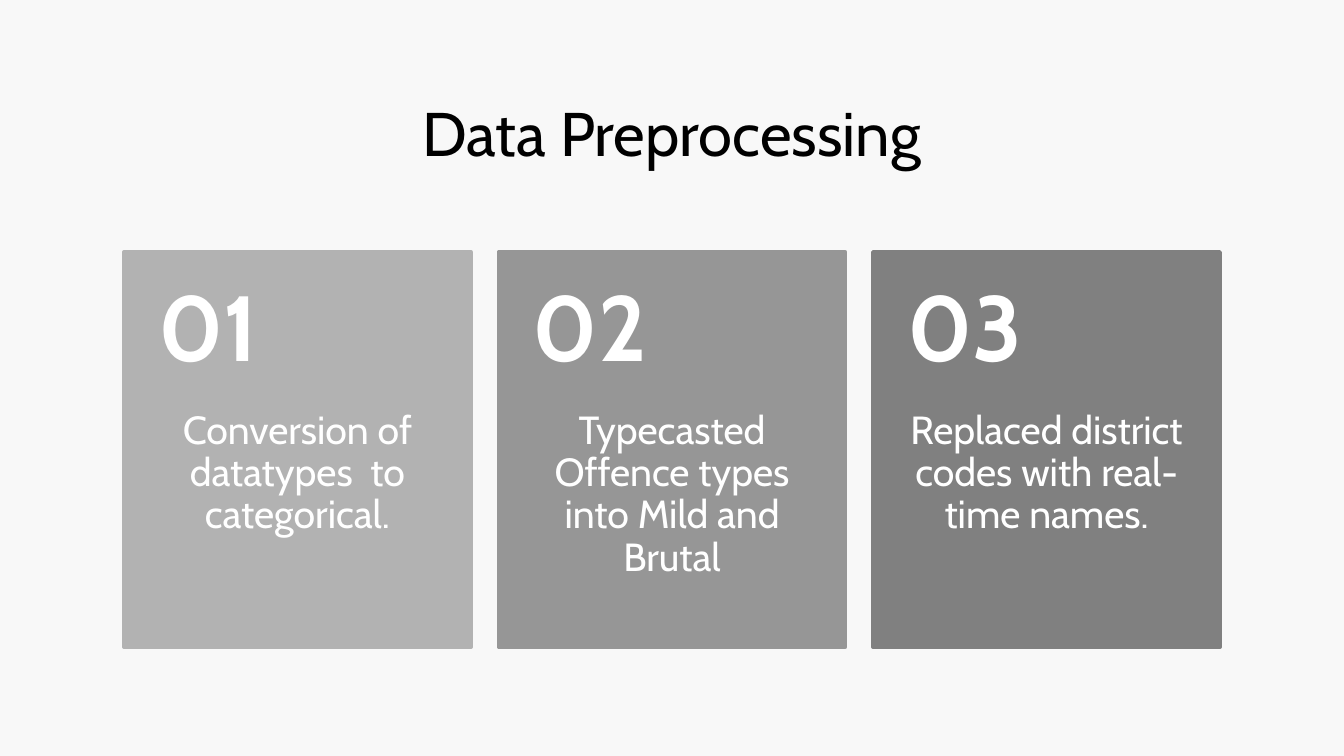
from pptx import Presentation
from pptx.dml.color import RGBColor
from pptx.enum.shapes import MSO_SHAPE
from pptx.enum.text import MSO_ANCHOR, PP_ALIGN
from pptx.util import Inches, Pt

RECTANGLE = MSO_SHAPE.RECTANGLE
TOP, MIDDLE = MSO_ANCHOR.TOP, MSO_ANCHOR.MIDDLE
LEFT, CENTER = PP_ALIGN.LEFT, PP_ALIGN.CENTER

TITLE = "Data Preprocessing"
STEPS = [
    ("01", "Conversion of datatypes  to categorical.", "light"),
    ("02", "Typecasted Offence types into Mild and Brutal", "medium"),
    ("03", "Replaced district codes with real-time names.", "dark"),
]
COLORS = {
    "background": "F8F8F8",
    "title": "000000",
    "text": "FFFFFF",
    "light": "B2B2B2",
    "medium": "969696",
    "dark": "808080",
}
FONT = "Cabin"

SLIDE_WIDTH, SLIDE_HEIGHT = 13.33, 7.5
TITLE_BOX = (0.7, 0.98, 11.93, 1.62)
CARD_TOP, CARD_WIDTH, CARD_HEIGHT = 2.5, 3.44, 3.92
CARD_LEFT, CARD_STEP = 1.23, 3.715
NUMBER_HEIGHT = 1.57

TITLE_FORMAT = {
    "frame": {"vertical_anchor": TOP},
    "paragraph": {"alignment": CENTER, "line_spacing": 0.89},
    "font": {"size": Pt(44), "bold": False},
    "color": "title",
}
NUMBER_FORMAT = {
    "frame": {
        "vertical_anchor": MIDDLE,
        "margin_left": Inches(0.34),
        "margin_right": Inches(0.34),
        "margin_top": Inches(0.18),
        "margin_bottom": Inches(0.18),
    },
    "paragraph": {"alignment": LEFT, "line_spacing": 0.9},
    "font": {"size": Pt(66), "bold": True},
    "color": "text",
}
BODY_FORMAT = {
    "frame": {
        "vertical_anchor": TOP,
        "margin_left": Inches(0.34),
        "margin_right": Inches(0.34),
        "margin_top": Inches(0),
        "margin_bottom": Inches(0.36),
    },
    "paragraph": {"alignment": CENTER, "line_spacing": 0.9},
    "font": {"size": Pt(28), "bold": False},
    "color": "text",
}


def color(name):
    return RGBColor.from_string(COLORS[name])


def set_attributes(target, values):
    for name, value in values.items():
        setattr(target, name, value)


def add_text(slide, box, text, style):
    shape = slide.shapes.add_textbox(*map(Inches, box))
    frame = shape.text_frame
    frame.word_wrap = True
    set_attributes(frame, style["frame"])
    paragraph = frame.paragraphs[0]
    set_attributes(paragraph, style["paragraph"])
    run = paragraph.add_run()
    run.text = text
    run.font.name = FONT
    set_attributes(run.font, style["font"])
    run.font.color.rgb = color(style["color"])


def add_card(slide, left, number, body, shade):
    box = (left, CARD_TOP, CARD_WIDTH, CARD_HEIGHT)
    card = slide.shapes.add_shape(RECTANGLE, *map(Inches, box))
    card.shadow.inherit = False
    card.fill.solid()
    card.fill.fore_color.rgb = color(shade)
    card.line.color.rgb = color(shade)
    card.line.width = Pt(2.75)
    body_box = (left, CARD_TOP + NUMBER_HEIGHT, CARD_WIDTH, CARD_HEIGHT - NUMBER_HEIGHT)
    add_text(slide, body_box, body, BODY_FORMAT)
    add_text(slide, (left, CARD_TOP, CARD_WIDTH, NUMBER_HEIGHT), number, NUMBER_FORMAT)


def main():
    """Build the data preprocessing slide with three numbered cards."""
    presentation = Presentation()
    presentation.slide_width = Inches(SLIDE_WIDTH)
    presentation.slide_height = Inches(SLIDE_HEIGHT)
    slide = presentation.slides.add_slide(presentation.slide_layouts[6])
    slide.background.fill.solid()
    slide.background.fill.fore_color.rgb = color("background")
    add_text(slide, TITLE_BOX, TITLE, TITLE_FORMAT)
    for index, step in enumerate(STEPS):
        add_card(slide, CARD_LEFT + index * CARD_STEP, *step)
    presentation.save("out.pptx")


if __name__ == "__main__":
    main()
